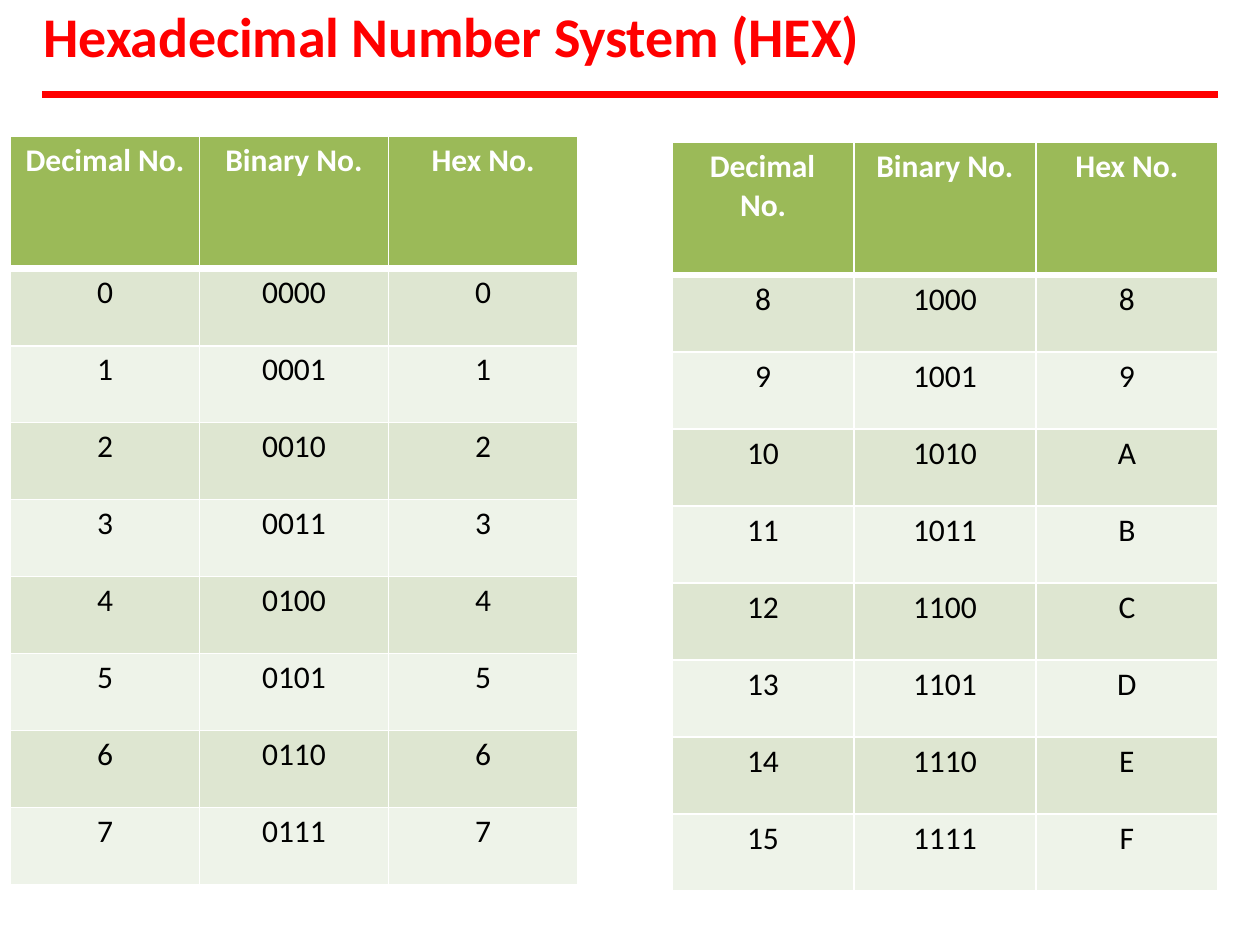
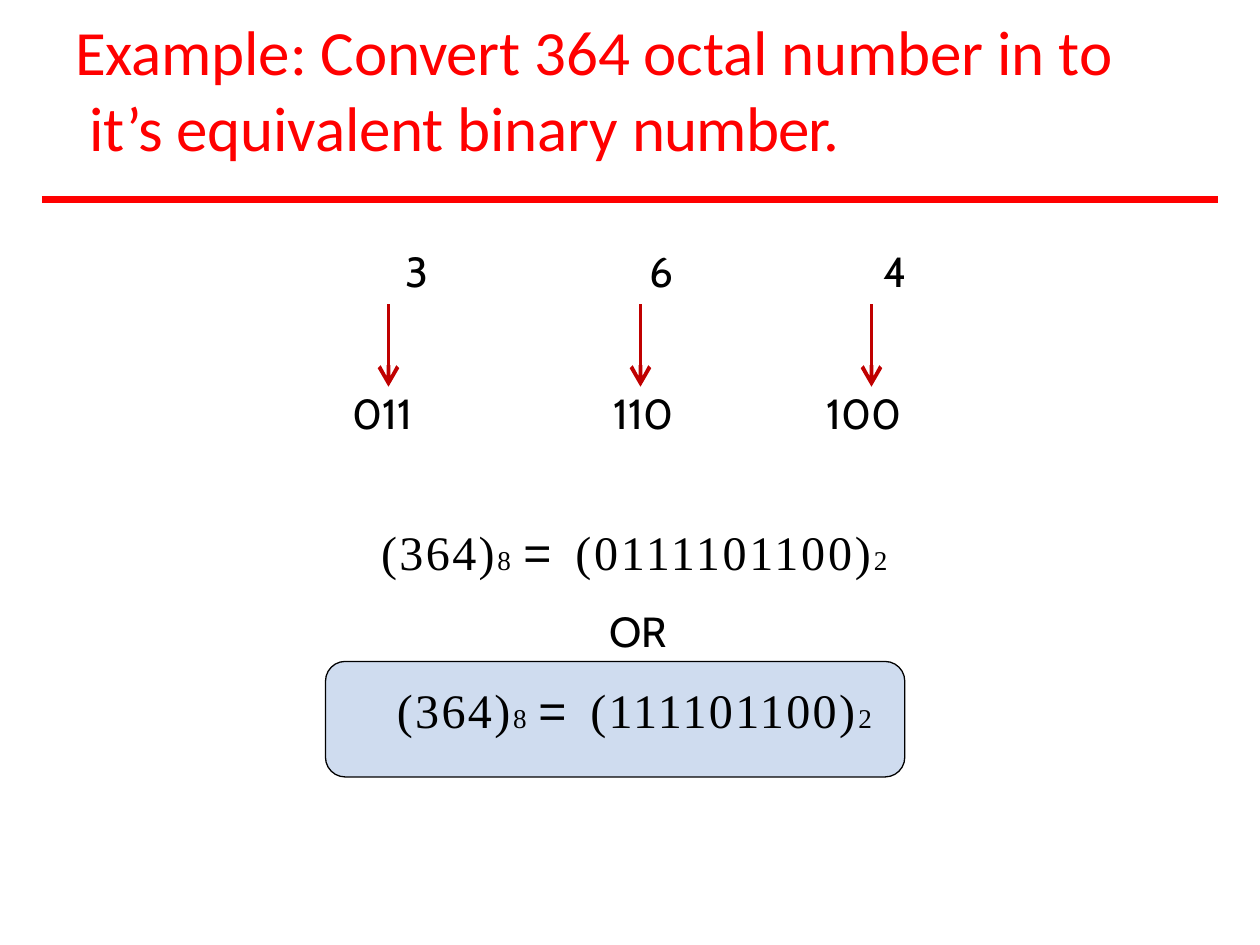
from dataclasses import dataclass
from typing import Any, Sequence

from lxml.etree import SubElement
from pptx import Presentation
from pptx.dml.color import RGBColor
from pptx.enum.shapes import MSO_CONNECTOR, MSO_SHAPE
from pptx.enum.text import PP_ALIGN
from pptx.oxml.ns import qn
from pptx.util import Pt

RED = RGBColor(0xFF, 0x00, 0x00)
DARK_RED = RGBColor(0xC0, 0x00, 0x00)
BLACK = RGBColor(0x00, 0x00, 0x00)
WHITE = RGBColor(0xFF, 0xFF, 0xFF)
HEADER_GREEN = RGBColor(0x9B, 0xBA, 0x58)
BANDS = (RGBColor(0xDE, 0xE6, 0xD1), RGBColor(0xEE, 0xF3, 0xE9))
PALE_BLUE = RGBColor(0xCF, 0xDC, 0xEF)

TITLE_FONT = "Calibri"
DIGIT_FONT = "Cabin"
RULE_LEFT, RULE_RIGHT = 24, 696
HEADER_HEIGHT, ROW_HEIGHT = 75.6, 44
THIN_BORDER, THICK_BORDER = 1, 4.25
HEADINGS = ("Decimal No.", "Binary No.", "Hex No.")


@dataclass(frozen=True)
class Box:
    left: float
    top: float
    width: float
    height: float

    def lengths(self) -> tuple:
        return Pt(self.left), Pt(self.top), Pt(self.width), Pt(self.height)


@dataclass(frozen=True)
class Style:
    font: str
    size: float
    color: RGBColor = BLACK
    bold: bool = False
    spacing: float = 0


@dataclass(frozen=True)
class Run:
    text: str
    style: Style


@dataclass(frozen=True)
class NumberTable:
    left: float
    top: float
    column_width: float
    first_number: int
    hanging_heading: bool = False


@dataclass(frozen=True)
class Digit:
    octal: str
    column_width: float
    arrow_x: float
    align: PP_ALIGN
    octal_margins: tuple[float, float]
    binary_margins: tuple[float, float]


NUMBER_TABLES = (
    NumberTable(6, 78, 108, 0),
    NumberTable(384, 81.5, 104, 8, hanging_heading=True),
)
DIGITS = (
    Digit("3", 96, 222, PP_ALIGN.LEFT, (32, 0), (2, 0)),
    Digit("6", 135, 366, PP_ALIGN.RIGHT, (0, 46), (0, 45.5)),
    Digit("4", 90, 498, PP_ALIGN.RIGHT, (0, 2.5), (0, 5.5)),
)

HEADING = Style(TITLE_FONT, 18, WHITE, bold=True)
NUMBER = Style(TITLE_FONT, 18)
DIGIT = Style(DIGIT_FONT, 24)
EQUALS = Style("Arial", 27.5, spacing=3)


def set_attributes(target: Any, values: dict[str, Any]) -> None:
    for name, value in values.items():
        setattr(target, name, value)


def add_runs(paragraph: Any, runs: Sequence[Run]) -> None:
    for item in runs:
        run = paragraph.add_run()
        run.text = item.text
        style = item.style
        set_attributes(run.font, {
            "name": style.font, "size": Pt(style.size), "bold": style.bold,
        })
        run.font.color.rgb = style.color
        if style.spacing:
            run.font._element.set("spc", str(round(style.spacing * 100)))


def add_text_box(slide: Any, box: Box, top_inset: float) -> Any:
    frame = slide.shapes.add_textbox(*box.lengths()).text_frame
    set_attributes(frame, {
        "word_wrap": True, "margin_left": 0, "margin_right": 0,
        "margin_top": Pt(top_inset), "margin_bottom": 0,
    })
    return frame


def add_line(slide: Any, start: tuple[float, float], end: tuple[float, float],
             color: RGBColor, width: float, arrow: bool = False) -> None:
    connector = slide.shapes.add_connector(
        MSO_CONNECTOR.STRAIGHT, *(Pt(value) for value in (*start, *end)))
    connector.line.color.rgb = color
    connector.line.width = Pt(width)
    if arrow:
        SubElement(connector.line._get_or_add_ln(), qn("a:tailEnd"),
                   type="arrow", w="lg", len="lg")
    SubElement(connector._element.spPr, qn("a:effectLst"))


def add_title(slide: Any, box: Box, lines: Sequence[Sequence[Run]], rule_y: float) -> None:
    paragraph = add_text_box(slide, box, 0.7).paragraphs[0]
    for index, runs in enumerate(lines):
        if index:
            paragraph.add_line_break()
        add_runs(paragraph, runs)
    add_line(slide, (RULE_LEFT, rule_y), (RULE_RIGHT, rule_y), RED, 4)


def add_plain_table(slide: Any, left: float, top: float,
                    widths: Sequence[float], heights: Sequence[float]) -> Any:
    """Add a table without style bands, with the given columns and rows."""
    box = Box(left, top, sum(widths), sum(heights))
    table = slide.shapes.add_table(len(heights), len(widths), *box.lengths()).table
    set_attributes(table, {"first_row": False, "horz_banding": False})
    for column, width in zip(table.columns, widths):
        column.width = Pt(width)
    for row, height in zip(table.rows, heights):
        row.height = Pt(height)
    return table


def fill_cell(cell: Any, run: Run, align: PP_ALIGN, fill: RGBColor | None,
              left: float = 0, top: float = 0, right: float = 0) -> None:
    set_attributes(cell, {
        "margin_left": Pt(left), "margin_top": Pt(top),
        "margin_right": Pt(right), "margin_bottom": 0,
    })
    paragraph = cell.text_frame.paragraphs[0]
    paragraph.alignment = align
    add_runs(paragraph, [run])
    if fill is None:
        cell.fill.background()
    else:
        cell.fill.solid()
        cell.fill.fore_color.rgb = fill


def set_borders(cell: Any, top: float, bottom: float) -> None:
    properties = cell._tc.get_or_add_tcPr()
    widths = {"lnL": THIN_BORDER, "lnR": THIN_BORDER, "lnT": top, "lnB": bottom}
    for index, (tag, width) in enumerate(widths.items()):
        line = SubElement(properties, qn(f"a:{tag}"), w=str(Pt(width)))
        properties.insert(index, line)
        fill = SubElement(line, qn("a:solidFill"))
        SubElement(fill, qn("a:srgbClr"), val=str(WHITE))


def add_number_table(slide: Any, spec_: NumberTable) -> None:
    numbers = range(spec_.first_number, spec_.first_number + 8)
    rows = [HEADINGS, *((str(n), f"{n:04b}", f"{n:X}") for n in numbers)]
    heights = [HEADER_HEIGHT] + [ROW_HEIGHT] * len(numbers)
    table = add_plain_table(slide, spec_.left, spec_.top,
                            [spec_.column_width] * len(HEADINGS), heights)
    for row_index, texts in enumerate(rows):
        is_header = row_index == 0
        style = HEADING if is_header else NUMBER
        fill = HEADER_GREEN if is_header else BANDS[(row_index - 1) % 2]
        for column_index, text in enumerate(texts):
            cell = table.cell(row_index, column_index)
            fill_cell(cell, Run(text, style), PP_ALIGN.CENTER, fill, top=3)
            set_borders(cell,
                        top=THICK_BORDER if row_index == 1 else THIN_BORDER,
                        bottom=THICK_BORDER if is_header else THIN_BORDER)
    if spec_.hanging_heading:
        paragraph = table.cell(0, 0).text_frame.paragraphs[0]
        paragraph.alignment = PP_ALIGN.LEFT
        indents = {"marL": Pt(38.9), "indent": Pt(-17.3)}
        for name, value in indents.items():
            paragraph._p.get_or_add_pPr().set(name, str(value))


def add_digit_table(slide: Any) -> None:
    """Show each octal digit above its three bits, joined by an arrow."""
    table = add_plain_table(slide, 199.5, 141,
                            [digit.column_width for digit in DIGITS], [56.5, 56.5])
    for column, digit in enumerate(DIGITS):
        bits = f"{int(digit.octal, 8):03b}"
        cells = ((digit.octal, digit.octal_margins, 0), (bits, digit.binary_margins, 25))
        for row, (text, (left, right), top) in enumerate(cells):
            fill_cell(table.cell(row, column), Run(text, DIGIT), digit.align, None,
                      left, top, right)
        add_line(slide, (digit.arrow_x, 174), (digit.arrow_x, 221), DARK_RED, 2.25, arrow=True)


def equation(bits: str, bits_spacing: float) -> list[Run]:
    octal = Style("Times New Roman", 27.5, spacing=1.4)
    binary = Style("Times New Roman", 27.5, spacing=bits_spacing)
    base = Style("Times New Roman", 15.5, spacing=bits_spacing)
    return [Run("(364)", octal), Run("8 ", base), Run("= ", EQUALS),
            Run(f"({bits})", binary), Run("2", base)]


def add_answer_panel(slide: Any) -> None:
    panel = slide.shapes.add_shape(MSO_SHAPE.ROUNDED_RECTANGLE,
                                   *Box(186, 378, 331, 66).lengths())
    panel.shadow.inherit = False
    panel.adjustments[0] = 0.17
    panel.fill.solid()
    panel.fill.fore_color.rgb = PALE_BLUE
    panel.line.color.rgb = BLACK
    panel.line.width = Pt(0.75)


def add_answers(slide: Any) -> None:
    frame = add_text_box(slide, Box(214, 280, 297, 142), 18.5)
    lines = (
        (equation("0111101100", 1.6), 0),
        ([Run("OR", Style(DIGIT_FONT, 24, spacing=0.1))], 14.6),
        (equation("111101100", 1.4), 13.7),
    )
    for index, (runs, space_before) in enumerate(lines):
        paragraph = frame.add_paragraph() if index else frame.paragraphs[0]
        paragraph.alignment = PP_ALIGN.CENTER
        if space_before:
            paragraph.space_before = Pt(space_before)
        add_runs(paragraph, runs)
    frame.paragraphs[1]._p.get_or_add_pPr().set("marL", str(Pt(4.3)))


def build_hexadecimal_slide(slide: Any) -> None:
    style = Style(TITLE_FONT, 32, RED, bold=True, spacing=-0.1)
    add_title(slide, Box(25, 0, 471, 40),
              [[Run("Hexadecimal Number System (HEX)", style)]], 54)
    for number_table in NUMBER_TABLES:
        add_number_table(slide, number_table)


def build_octal_slide(slide: Any) -> None:
    style = Style(TITLE_FONT, 36, RED, spacing=-0.1)
    tight = Style(TITLE_FONT, 36, RED, spacing=-0.6)
    add_title(slide, Box(43, 6.5, 598, 89), [
        [Run("Example: Convert 364 octal number in to", style)],
        [Run(" it’s equivalent binary ", style), Run("number.", tight)],
    ], 114)
    add_answer_panel(slide)
    add_digit_table(slide)
    add_answers(slide)


def main() -> None:
    presentation = Presentation()
    presentation.slide_width, presentation.slide_height = Pt(720), Pt(540)
    blank = presentation.slide_layouts[6]
    for build in (build_hexadecimal_slide, build_octal_slide):
        build(presentation.slides.add_slide(blank))
    presentation.save("out.pptx")


if __name__ == "__main__":
    main()
